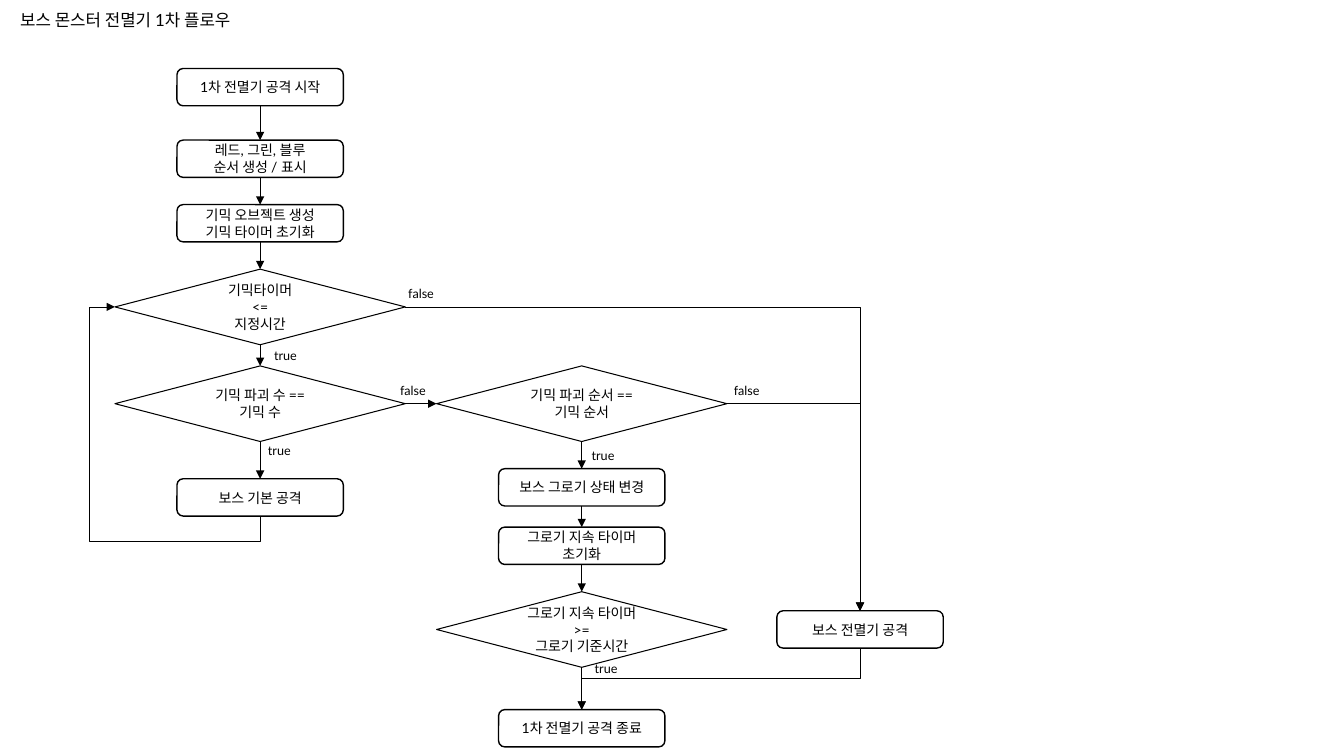
from dataclasses import dataclass

from lxml import etree
from pptx import Presentation
from pptx.dml.color import RGBColor
from pptx.enum.shapes import MSO_CONNECTOR, MSO_SHAPE
from pptx.enum.text import MSO_ANCHOR, MSO_AUTO_SIZE, PP_ALIGN
from pptx.oxml.ns import qn
from pptx.util import Inches, Pt

PROCESS = MSO_SHAPE.FLOWCHART_ALTERNATE_PROCESS
DECISION = MSO_SHAPE.FLOWCHART_DECISION
STRAIGHT, ELBOW = MSO_CONNECTOR.STRAIGHT, MSO_CONNECTOR.ELBOW
TOP, MIDDLE = MSO_ANCHOR.TOP, MSO_ANCHOR.MIDDLE
LEFT, CENTER = PP_ALIGN.LEFT, PP_ALIGN.CENTER
FIT_SHAPE, NO_FIT = MSO_AUTO_SIZE.SHAPE_TO_FIT_TEXT, MSO_AUTO_SIZE.NONE
TITLE_ONLY = 5
# Connection sites shared by both flowchart shapes
SITE_TOP, SITE_LEFT, SITE_BOTTOM, SITE_RIGHT = range(4)


@dataclass(frozen=True)
class Theme:
    font: str = "Lato"
    ink: RGBColor = RGBColor(0, 0, 0)
    paper: RGBColor = RGBColor(255, 255, 255)
    title_size: float = 12
    node_size: float = 10
    label_size: float = 9
    process_line: float = 1
    decision_line: float = 0.75
    connector_line: float = 0.5


@dataclass(frozen=True)
class Node:
    name: str
    kind: int
    center: float
    top: float
    text: str


@dataclass(frozen=True)
class Link:
    start: str
    end: str
    start_site: int = SITE_BOTTOM
    end_site: int = SITE_TOP
    preset: str = ""
    adjustments: tuple[int, ...] = ()


@dataclass(frozen=True)
class Label:
    text: str
    left: float
    top: float


THEME = Theme()
NODE_SIZES = {PROCESS: (1.65, 0.37), DECISION: (2.88, 0.75)}
LABEL_SIZES = {"true": (0.43, 0.25), "false": (0.46, 0.25)}
MAIN, GROGGY, WIPE = 2.58, 5.77, 8.53  # column centres

NODES = [
    Node("start", PROCESS, MAIN, 0.68, "1차 전멸기 공격 시작"),
    Node("order", PROCESS, MAIN, 1.39, "레드, 그린, 블루\n순서 생성 / 표시"),
    Node("setup", PROCESS, MAIN, 2.03, "기믹 오브젝트 생성\n기믹 타이머 초기화"),
    Node("timer", DECISION, MAIN, 2.67, "기믹타이머\n<=\n지정시간"),
    Node("count", DECISION, MAIN, 3.63, "기믹 파괴 수 ==\n기믹 수"),
    Node("basic", PROCESS, MAIN, 4.75, "보스 기본 공격"),
    Node("sequence", DECISION, GROGGY, 3.63, "기믹 파괴 순서 ==\n기믹 순서"),
    Node("groggy", PROCESS, GROGGY, 4.65, "보스 그로기 상태 변경"),
    Node("reset", PROCESS, GROGGY, 5.23, "그로기 지속 타이머\n초기화"),
    Node("duration", DECISION, GROGGY, 5.87, "그로기 지속 타이머\n>=\n그로기 기준시간"),
    Node("finish", PROCESS, GROGGY, 7.04, "1차 전멸기 공격 종료"),
    Node("wipe", PROCESS, WIPE, 6.06, "보스 전멸기 공격"),
]

CHAINS = [
    ("start", "order", "setup", "timer", "count", "basic"),
    ("sequence", "groggy", "reset", "duration", "finish"),
]
LINKS = [Link(start, end) for chain in CHAINS for start, end in zip(chain, chain[1:])]
LINKS += [
    Link("count", "sequence", SITE_RIGHT, SITE_LEFT),
    Link("timer", "wipe", SITE_RIGHT, SITE_TOP, "bentConnector2"),
    Link("sequence", "wipe", SITE_RIGHT, SITE_TOP, "bentConnector2"),
    Link("wipe", "finish", preset="bentConnector3", adjustments=(50000,)),
    Link("basic", "timer", SITE_BOTTOM, SITE_LEFT, "bentConnector4", (-12100, 117400)),
]

LABELS = [
    Label("false", 3.95, 2.79),
    Label("true", 2.62, 3.4),
    Label("false", 3.87, 3.75),
    Label("true", 2.56, 4.34),
    Label("false", 7.18, 3.75),
    Label("true", 5.77, 4.39),
    Label("true", 5.8, 6.51),
]


def apply_format(target, values: dict) -> None:
    for name, value in values.items():
        setattr(target, name, value)


def write_text(shape, text: str, size: float, alignment, frame_format: dict) -> None:
    frame = shape.text_frame
    frame.text = text
    apply_format(frame, frame_format)
    for paragraph in frame.paragraphs:
        paragraph.alignment = alignment
        apply_format(paragraph.font, {"name": THEME.font, "size": Pt(size)})
        paragraph.font.color.rgb = THEME.ink


def add_title(slide, text: str) -> None:
    title = slide.shapes.title
    apply_format(title, {"left": Inches(0.1), "top": Inches(0.05),
                         "width": Inches(2.31), "height": Inches(0.3)})
    write_text(title, text, THEME.title_size, LEFT,
               {"word_wrap": True, "auto_size": NO_FIT, "vertical_anchor": TOP})


def add_node(slide, node: Node):
    width, height = NODE_SIZES[node.kind]
    shape = slide.shapes.add_shape(node.kind, Inches(node.center - width / 2),
                                   Inches(node.top), Inches(width), Inches(height))
    shape.shadow.inherit = False
    shape.line.color.rgb = THEME.ink
    if node.kind == PROCESS:
        shape.fill.solid()
        shape.fill.fore_color.rgb = THEME.paper
        shape.line.width = Pt(THEME.process_line)
    else:
        shape.fill.background()
        shape.line.width = Pt(THEME.decision_line)
    write_text(shape, node.text, THEME.node_size, CENTER,
               {"word_wrap": True, "vertical_anchor": MIDDLE})
    return shape


def bend(connector, link: Link) -> None:
    """Set the route; one leaving downwards is a preset turned by 90 degrees."""
    properties = connector.element.spPr
    geometry = properties.find(qn("a:prstGeom"))
    geometry.set("prst", link.preset)
    guides = geometry.find(qn("a:avLst"))
    for number, value in enumerate(link.adjustments, 1):
        etree.SubElement(guides, qn("a:gd"), name=f"adj{number}", fmla=f"val {value}")
    if link.start_site != SITE_BOTTOM:
        return
    goes_up = connector.end_y < connector.begin_y
    width, height = connector.height, connector.width
    middle_x = connector.left + connector.width // 2
    middle_y = connector.top + connector.height // 2
    apply_format(connector, {"left": middle_x - width // 2, "top": middle_y - height // 2,
                             "width": width, "height": height})
    transform = properties.find(qn("a:xfrm"))
    for name, value in {"rot": "5400000", "flipH": str(int(goes_up)), "flipV": "0"}.items():
        transform.set(name, value)


def add_link(slide, link: Link, shapes: dict) -> None:
    kind = ELBOW if link.preset else STRAIGHT
    connector = slide.shapes.add_connector(kind, 0, 0, 0, 0)
    connector.begin_connect(shapes[link.start], link.start_site)
    connector.end_connect(shapes[link.end], link.end_site)
    if link.preset:
        bend(connector, link)
    connector.line.color.rgb = THEME.ink
    connector.line.width = Pt(THEME.connector_line)
    properties = connector.element.spPr
    etree.SubElement(properties.find(qn("a:ln")), qn("a:tailEnd"), type="triangle")
    etree.SubElement(properties, qn("a:effectLst"))


def add_label(slide, label: Label) -> None:
    width, height = LABEL_SIZES[label.text]
    box = slide.shapes.add_textbox(Inches(label.left), Inches(label.top),
                                   Inches(width), Inches(height))
    write_text(box, label.text, THEME.label_size, LEFT,
               {"word_wrap": False, "auto_size": FIT_SHAPE})


def main() -> None:
    presentation = Presentation()
    presentation.slide_width, presentation.slide_height = Inches(13.33), Inches(7.5)
    slide = presentation.slides.add_slide(presentation.slide_layouts[TITLE_ONLY])
    add_title(slide, "보스 몬스터 전멸기 1차 플로우")
    # Flowchart steps, the arrows between them and the branch labels
    shapes = {node.name: add_node(slide, node) for node in NODES}
    for link in LINKS:
        add_link(slide, link, shapes)
    for label in LABELS:
        add_label(slide, label)
    presentation.save("out.pptx")


if __name__ == "__main__":
    main()
